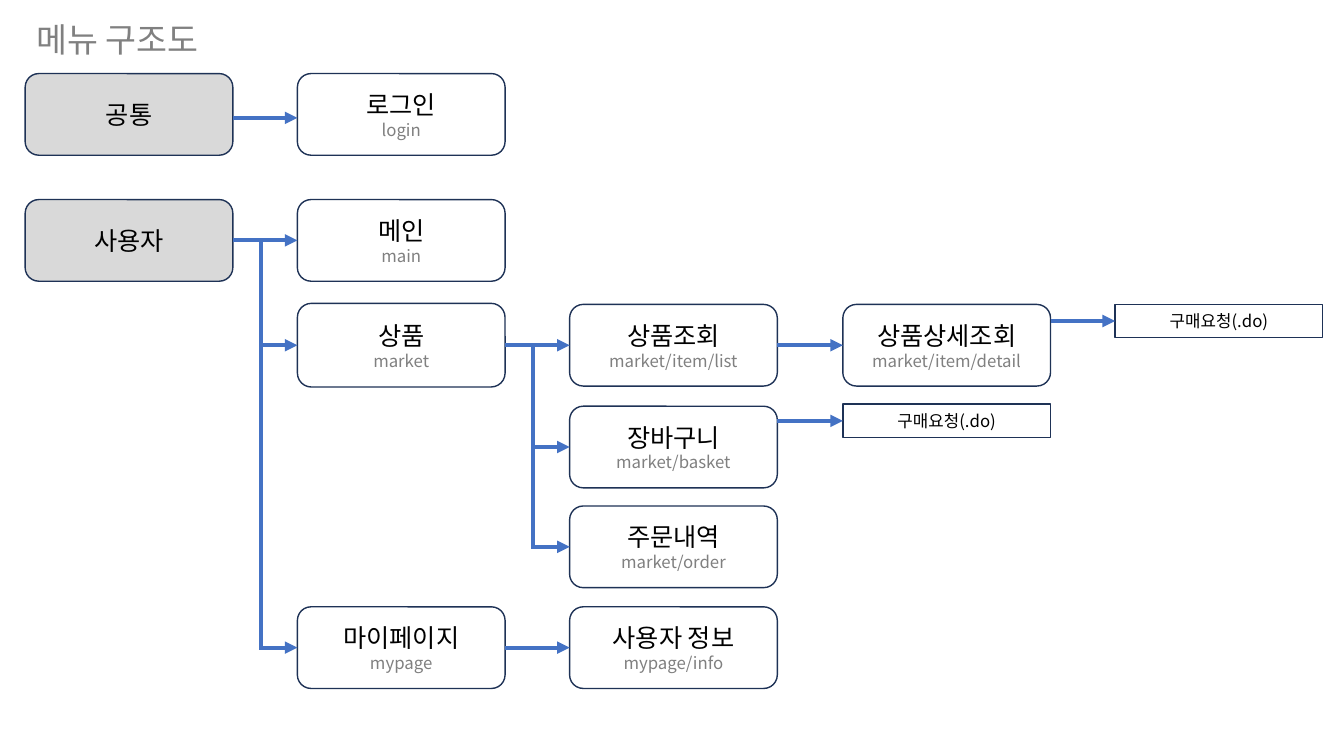
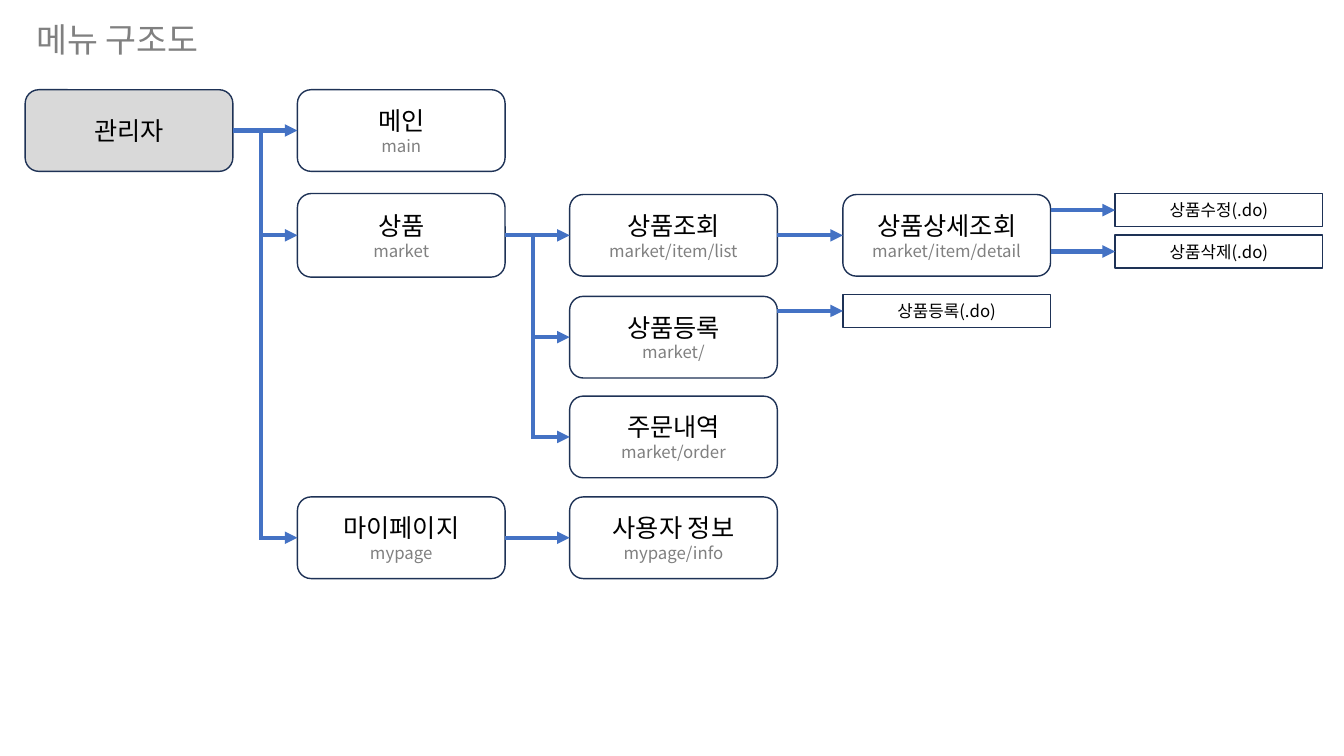
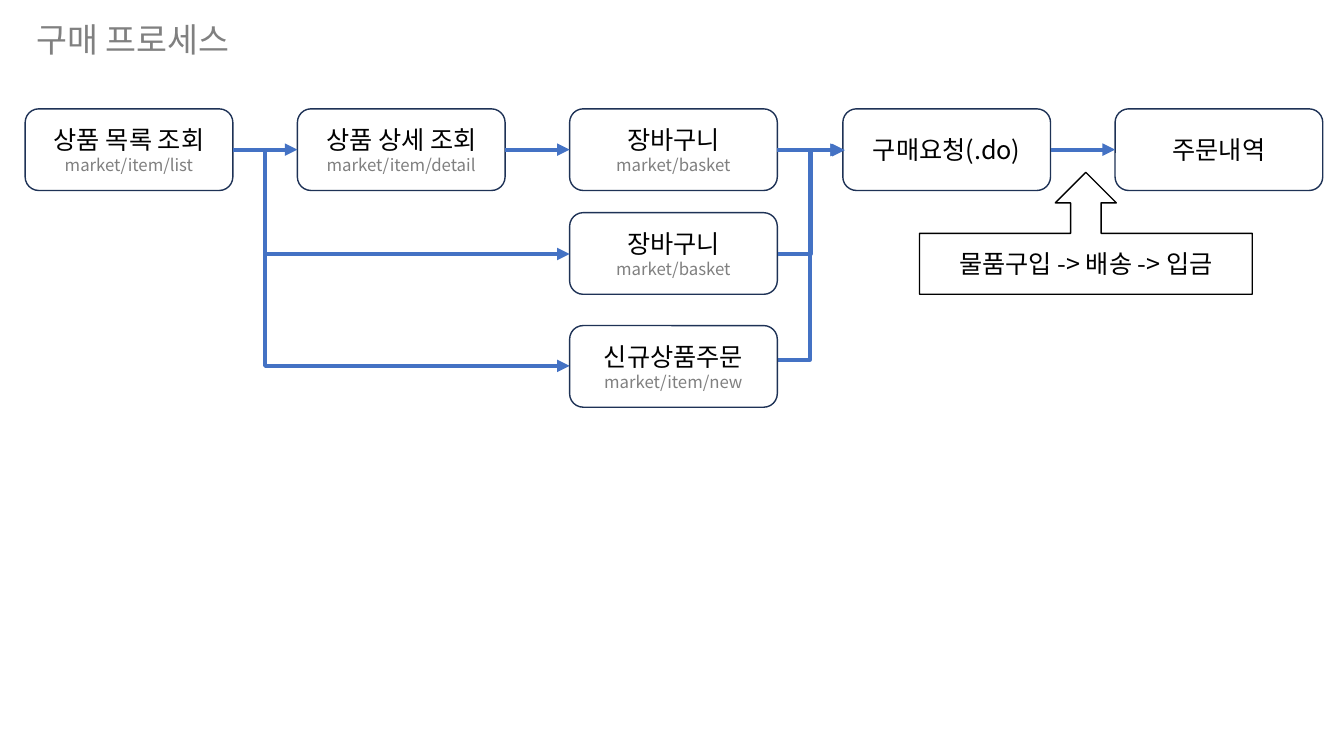
from dataclasses import dataclass
from lxml.etree import SubElement
from pptx import Presentation
from pptx.dml.color import RGBColor as Rgb
from pptx.enum.shapes import MSO_CONNECTOR as Link, MSO_SHAPE as Form
from pptx.enum.text import MSO_ANCHOR as Anchor, MSO_AUTO_SIZE as Fit, PP_ALIGN as Align
from pptx.oxml.ns import qn
from pptx.util import Pt

PX = 9144
COLS = (25, 295, 565, 836, 1106)
WIDE, TALL, LOW = 206, 81, 33


@dataclass(frozen=True)
class Theme:
    font: str = "Noto Sans CJK KR"
    ink: str = "000000"
    gray: str = "808080"
    root: str = "D9D9D9"
    white: str = "FFFFFF"
    edge: str = "1E3256"
    flow: str = "4472C4"
    head: int = 24
    name: int = 18
    note: int = 12
    thin: int = 1
    thick: int = 3


class Deck:
    def __init__(self, theme):
        self.theme = theme
        self.show = Presentation()
        self.show.slide_width = 1333 * PX
        self.show.slide_height = 750 * PX

    def page(self, title):
        self.slide = self.show.slides.add_slide(self.show.slide_layouts[5])
        head = self.slide.shapes.title
        head.left, head.top, head.width, head.height = (n * PX for n in (26, 16, 466, 46))
        frame = head.text_frame
        frame.text = title
        frame.auto_size = Fit.NONE
        frame.vertical_anchor = Anchor.MIDDLE
        self.style(frame.paragraphs[0], self.theme.head, self.theme.gray, Align.LEFT)

    def style(self, para, size, color, align=Align.CENTER):
        para.alignment = align
        font = para.font
        font.size = Pt(size)
        font.name = self.theme.font
        font.color.rgb = Rgb.from_string(color)
        SubElement(font._element, qn("a:ea"), typeface=self.theme.font)

    def shape(self, form, x, y, w, h, lines, size, fill=None, edge=None):
        box = self.slide.shapes.add_shape(form, x * PX, y * PX, w * PX, h * PX)
        box.shadow.inherit = False
        if fill:
            box.fill.solid()
            box.fill.fore_color.rgb = Rgb.from_string(fill)
        else:
            box.fill.background()
        box.line.color.rgb = Rgb.from_string(edge or self.theme.edge)
        box.line.width = Pt(self.theme.thin)
        frame = box.text_frame
        frame.vertical_anchor = Anchor.MIDDLE
        frame.text = "\n".join(lines)
        self.style(frame.paragraphs[0], size, self.theme.ink)
        for para in frame.paragraphs[1:]:
            self.style(para, self.theme.note, self.theme.gray)
        return box

    def box(self, col, y, *lines, fill=None, h=TALL):
        return self.shape(Form.ROUNDED_RECTANGLE, COLS[col], y, WIDE, h, lines, self.theme.name, fill)

    def act(self, col, y, text):
        box = self.shape(Form.RECTANGLE, COLS[col], y, WIDE, LOW, [text], self.theme.note)
        self.stub(COLS[col - 1] + WIDE, box)

    def call(self, x, y, w, h, text):
        box = self.shape(Form.UP_ARROW_CALLOUT, x, y, w, h, [text], self.theme.name, edge=self.theme.ink)
        box.adjustments[3] = 0.5

    def link(self, kind, ends, arrow=True):
        link = self.slide.shapes.add_connector(kind, *ends)
        link.line.color.rgb = Rgb.from_string(self.theme.flow)
        link.line.width = Pt(self.theme.thick)
        if arrow:
            SubElement(link.get_or_add_ln(), qn("a:tailEnd"), type="triangle")
        SubElement(link._element.spPr, qn("a:effectLst"))
        return link

    def line(self, x1, y1, x2, y2, arrow=True):
        self.link(Link.STRAIGHT, [n * PX for n in (x1, y1, x2, y2)], arrow)

    def join(self, start, end):
        link = self.link(Link.STRAIGHT, (0, 0, 0, 0))
        link.begin_connect(start, 3)
        link.end_connect(end, 1)

    def stub(self, x, box):
        mid = box.top + box.height // 2
        link = self.link(Link.STRAIGHT, (x * PX, mid, box.left, mid))
        link.end_connect(box, 1)

    def bend(self, x1, y1, x2, y2, via):
        link = self.link(Link.ELBOW, [n * PX for n in (x1, y1, x2, y2)])
        ratio = round((via - x1) / (x2 - x1) * 100000)
        geom = link._element.spPr.find(qn("a:prstGeom"))
        guides = geom.find(qn("a:avLst"))
        if guides is None:
            guides = SubElement(geom, qn("a:avLst"))
        SubElement(guides, qn("a:gd"), name="adj1", fmla=f"val {ratio}")

    def tree(self, top, role, second, acts):
        root = self.box(0, top, role, fill=self.theme.root)
        main = self.box(1, top, "메인", "main")
        goods = self.box(1, top + 103, "상품", "market", h=83)
        items = self.box(2, top + 104, "상품조회", "market/item/list")
        detail = self.box(3, top + 104, "상품상세조회", "market/item/detail")
        other = self.box(2, top + 205, *second)
        order = self.box(2, top + 304, "주문내역", "market/order")
        mine = self.box(1, top + 404, "마이페이지", "mypage")
        info = self.box(2, top + 404, "사용자 정보", "mypage/info")
        for pair in ((root, main), (goods, items), (items, detail), (mine, info)):
            self.join(*pair)
        for x, box in ((257, goods), (257, mine), (529, other), (529, order)):
            self.stub(x, box)
        self.line(259, top + 40, 259, top + 446, arrow=False)
        self.line(529, top + 143, 529, top + 347, arrow=False)
        for col, drop, text in acts:
            self.act(col, top + drop, text)


def main():
    deck = Deck(Theme())

    deck.page("메뉴 구조도")
    deck.box(0, 73, "공통", fill=deck.theme.root)
    deck.box(1, 73, "로그인", "login")
    deck.line(COLS[0] + WIDE, 117, COLS[1], 117)
    deck.tree(198, "사용자", ("장바구니", "market/basket"),
              ((4, 104, "구매요청(.do)"), (3, 203, "구매요청(.do)")))

    deck.page("메뉴 구조도")
    deck.tree(89, "관리자", ("상품등록", "market/"),
              ((4, 103, "상품수정(.do)"), (4, 144, "상품삭제(.do)"), (3, 203, "상품등록(.do)")))

    deck.page("구매 프로세스")
    steps = (("상품 목록 조회", "market/item/list"), ("상품 상세 조회", "market/item/detail"),
             ("장바구니", "market/basket"), ("구매요청(.do)",), ("주문내역",))
    row = [deck.box(col, 108, *lines) for col, lines in enumerate(steps)]
    for pair in zip(row, row[1:]):
        deck.join(*pair)
    deck.call(912, 171, 330, 121, "물품구입 -> 배송 -> 입금")
    deck.box(2, 211, "장바구니", "market/basket")
    for ends in ((231, 149, 565, 252, 263), (772, 252, 836, 149, 804),
                 (231, 149, 565, 363, 263), (767, 357, 838, 149, 803)):
        deck.bend(*ends)
    deck.box(2, 323, "신규상품주문", "market/item/new", fill=deck.theme.white)

    deck.show.save("out.pptx")


if __name__ == "__main__":
    main()
